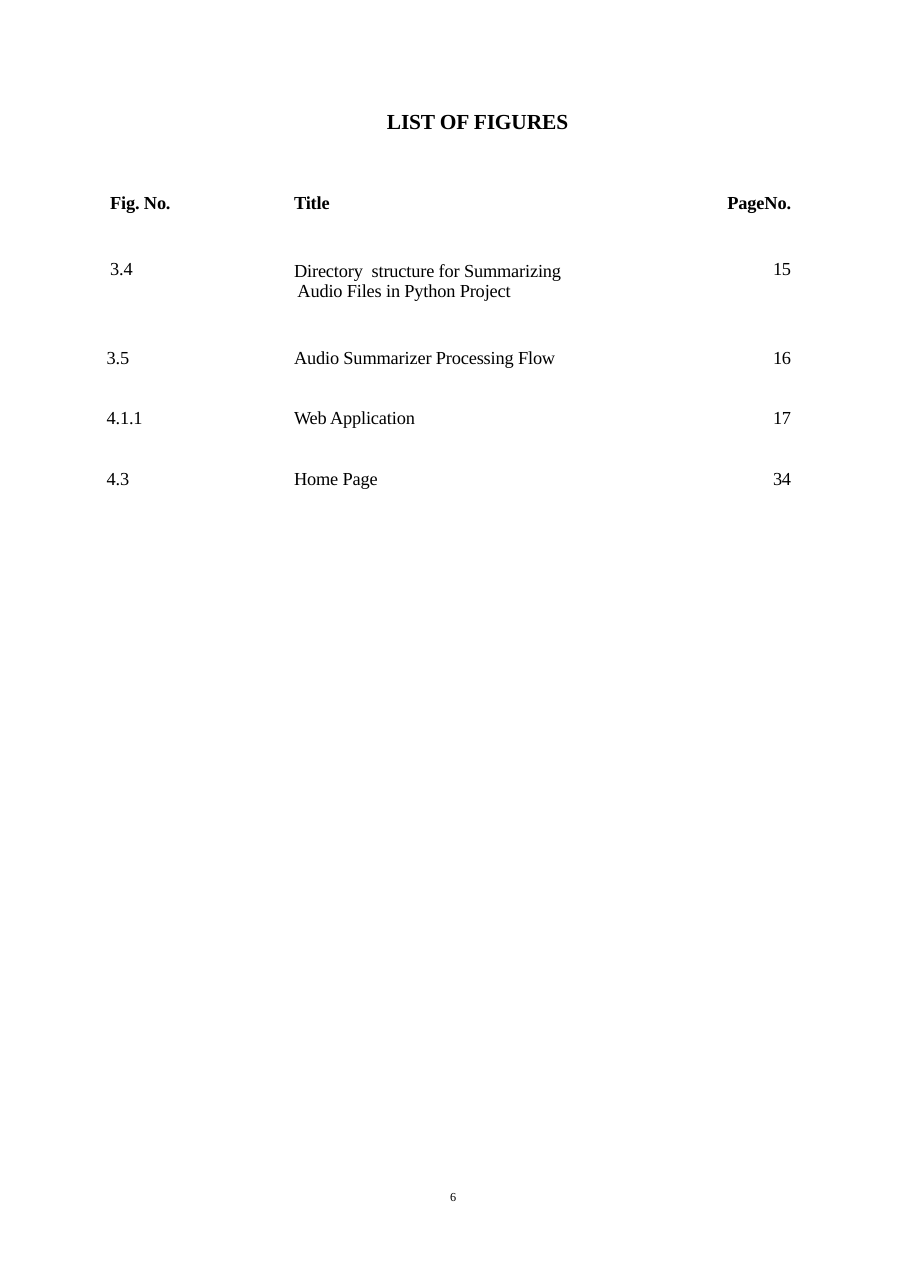
from dataclasses import dataclass

from pptx import Presentation
from pptx.dml.color import RGBColor
from pptx.enum.text import PP_ALIGN
from pptx.util import Cm, Pt


@dataclass(frozen=True)
class Theme:
    font: str = "Times New Roman"
    ink: RGBColor = RGBColor(0, 0, 0)
    heading: float = 14
    body: float = 12
    footer: float = 8


theme = Theme()


def add_run(p, text, size, bold=False, spacing=-0.1):
    """Append a run; spacing is the extra space between letters in points."""
    r = p.add_run()
    r.text = text
    r.font.name = theme.font
    r.font.size = Pt(size)
    r.font.bold = bold
    r.font.color.rgb = theme.ink
    r._r.get_or_add_rPr().set("spc", str(round(spacing * 100)))


prs = Presentation()
prs.slide_width, prs.slide_height = Cm(20.98), Cm(29.69)
s = prs.slides.add_slide(prs.slide_layouts[6])

# Page number and heading
for text, left, top, width, height, size, bold in [
    ("6", 10.38, 27.41, 0.35, 0.38, theme.footer, False),
    ("LIST OF FIGURES", 8.92, 2.5, 4.8, 0.6, theme.heading, True),
]:
    tf = s.shapes.add_textbox(Cm(left), Cm(top), Cm(width), Cm(height)).text_frame
    tf.margin_left = tf.margin_top = tf.margin_right = tf.margin_bottom = 0
    tf.word_wrap = True
    add_run(tf.paragraphs[0], text, size, bold)

# Each row: height, space above the text, indent of the number, the three texts
figures = [
    (1.02, 0, 0.43, ("Fig. No.", "Title", "PageNo.")),
    (2.06, 0.5, 0.43,
     ("3.4", "Directory  structure for Summarizing\n Audio Files in Python Project", "15")),
    (1.47, 0.5, 0.35, ("3.5", "Audio Summarizer Processing Flow", "16")),
    (1.4, 0.41, 0.35, ("4.1.1", "Web Application", "17")),
    (0.91, 0.41, 0.35, ("4.3", "Home Page", "34")),
]
column_widths = (3.25, 9.55, 3.66)
title_indent, page_indent = 1.42, 0.33

table = s.shapes.add_table(
    len(figures), len(column_widths), Cm(2.11), Cm(4.45),
    Cm(sum(column_widths)), Cm(sum(row[0] for row in figures)),
).table
table.first_row = table.horz_banding = False
for column, width in zip(table.columns, column_widths):
    column.width = Cm(width)

for i, (height, space_above, number_indent, texts) in enumerate(figures):
    table.rows[i].height = Cm(height)
    indents = (number_indent, title_indent, 0)
    for j, (text, indent) in enumerate(zip(texts, indents)):
        cell = table.cell(i, j)
        cell.fill.background()
        lines = text.split("\n")
        two_line_drop = 0.05 if len(lines) > 1 else 0
        cell.margin_left = Cm(indent)
        cell.margin_right = Cm(page_indent if j == 2 else 0)
        cell.margin_top = Cm(space_above + two_line_drop)
        cell.margin_bottom = 0
        p = cell.text_frame.paragraphs[0]
        p.alignment = PP_ALIGN.RIGHT if j == 2 else PP_ALIGN.LEFT
        for n, line in enumerate(lines):
            if n:
                p.add_line_break()
            add_run(p, line, theme.body, bold=i == 0)

prs.save("out.pptx")
